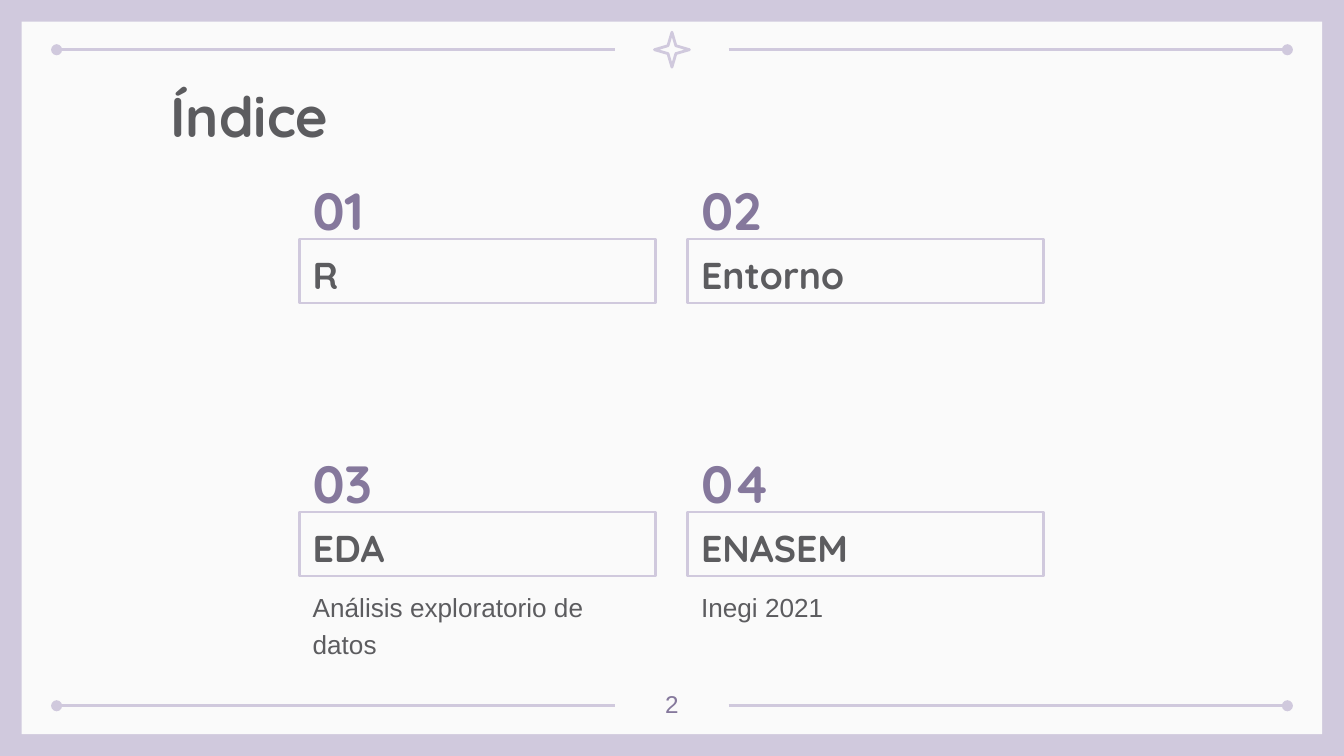
from dataclasses import dataclass

from lxml import etree
from pptx import Presentation
from pptx import util as u
from pptx.dml.color import RGBColor
from pptx.enum import shapes, text
from pptx.oxml import ns

COLORS = {"lilac": "D0C9DD", "paper": "FAFAFA", "ink": "5C5C5F", "violet": "85789C"}
SLIDE_W, SLIDE_H = 25.4, 14.29
MARGIN = 0.41
COLUMNS, ROWS = (5.66, 13.0), (4.52, 9.68)
TOPIC_W, TOPIC_H = 6.73, 1.21


@dataclass
class Style:
    font: str
    size: float
    color: str
    bold: bool = False
    spacing: float = 1.0
    anchor: text.MSO_ANCHOR = text.MSO_ANCHOR.TOP
    align: text.PP_ALIGN = text.PP_ALIGN.LEFT


@dataclass
class Topic:
    name: str
    description: str = ""


TITLE = Style("Quicksand", 30, "ink", bold=True)
NUMBER = Style("Quicksand", 28, "violet", True, 1.15, text.MSO_ANCHOR.MIDDLE)
NAME = Style("Quicksand", 20, "ink", True, 1.15, text.MSO_ANCHOR.MIDDLE)
DESCRIPTION = Style("Arial", 14, "ink", spacing=1.15)
PAGE = Style("Arial", 13, "violet", align=text.PP_ALIGN.CENTER)

TOPICS = [
    Topic("R"),
    Topic("Entorno"),
    Topic("EDA", "Análisis exploratorio de datos"),
    Topic("ENASEM", "Inegi 2021"),
]


def rgb(name: str) -> RGBColor:
    return RGBColor.from_string(COLORS[name])


def outline(item) -> None:
    item.line.color.rgb = rgb("lilac")
    item.line.width = u.Pt(1.5)


def write(item, words: str, style: Style) -> None:
    frame = item.text_frame
    frame_format = {"word_wrap": True, "vertical_anchor": style.anchor}
    for side in ("left", "right", "top", "bottom"):
        frame_format[f"margin_{side}"] = u.Cm(0.25)
    for name, value in frame_format.items():
        setattr(frame, name, value)
    paragraph = frame.paragraphs[0]
    paragraph.text = words
    paragraph.alignment = style.align
    paragraph.line_spacing = style.spacing
    font_format = {"name": style.font, "size": u.Pt(style.size), "bold": style.bold}
    for name, value in font_format.items():
        setattr(paragraph.font, name, value)
    paragraph.font.color.rgb = rgb(style.color)


def add_label(slide, box: tuple[float, ...], words: str, style: Style) -> None:
    write(slide.shapes.add_textbox(*map(u.Cm, box)), words, style)


def add_outlined(slide, kind: shapes.MSO_SHAPE, box: tuple[float, ...]):
    shape = slide.shapes.add_shape(kind, *map(u.Cm, box))
    shape.shadow.inherit = False
    shape.fill.background()
    outline(shape)
    return shape


def add_rule(slide, start: float, end: float, y: float, dotted_end: str) -> None:
    """Draw a horizontal line with a dot at its headEnd or tailEnd."""
    rule = slide.shapes.add_connector(
        shapes.MSO_CONNECTOR.STRAIGHT, u.Cm(start), u.Cm(y), u.Cm(end), u.Cm(y))
    outline(rule)
    etree.SubElement(rule.line._get_or_add_ln(), ns.qn(f"a:{dotted_end}"), type="oval")
    etree.SubElement(rule._element.spPr, ns.qn("a:effectLst"))


def add_frame(slide) -> None:
    background = slide.background.fill
    background.solid()
    background.fore_color.rgb = rgb("lilac")
    paper = slide.shapes.add_shape(
        shapes.MSO_SHAPE.RECTANGLE, u.Cm(MARGIN), u.Cm(MARGIN),
        u.Cm(SLIDE_W - 2 * MARGIN), u.Cm(SLIDE_H - 2 * MARGIN))
    paper.shadow.inherit = False
    paper.fill.solid()
    paper.fill.fore_color.rgb = rgb("paper")
    paper.line.fill.background()

    outer, inner = 1.07, 11.63
    for y in (0.94, 13.34):
        add_rule(slide, outer, inner, y, "headEnd")
        add_rule(slide, SLIDE_W - inner, SLIDE_W - outer, y, "tailEnd")
    star = add_outlined(slide, shapes.MSO_SHAPE.STAR_4_POINT, (12.37, 0.61, 0.66, 0.66))
    star.adjustments[0] = 0.16


def add_topic(slide, index: int, topic: Topic) -> None:
    row, column = divmod(index, len(COLUMNS))
    left, top = COLUMNS[column], ROWS[row]
    add_label(slide, (left, top - 1.25, 1.83, 1.22), f"{index + 1:02}", NUMBER)
    name_box = add_outlined(
        slide, shapes.MSO_SHAPE.RECTANGLE, (left, top, TOPIC_W, TOPIC_H))
    write(name_box, topic.name, NAME)
    if topic.description:
        add_label(slide, (left, top + 1.17, TOPIC_W, 1.5), topic.description, DESCRIPTION)


def main() -> None:
    deck = Presentation()
    deck.slide_width, deck.slide_height = u.Cm(SLIDE_W), u.Cm(SLIDE_H)
    slide = deck.slides.add_slide(deck.slide_layouts[6])
    add_frame(slide)
    add_label(slide, (2.97, 1.3, 21.41, 1.6), "Índice", TITLE)
    for index, topic in enumerate(TOPICS):
        add_topic(slide, index, topic)
    add_label(slide, (11.94, 12.78, 1.52, 0.91), "2", PAGE)
    deck.save("out.pptx")


if __name__ == "__main__":
    main()
